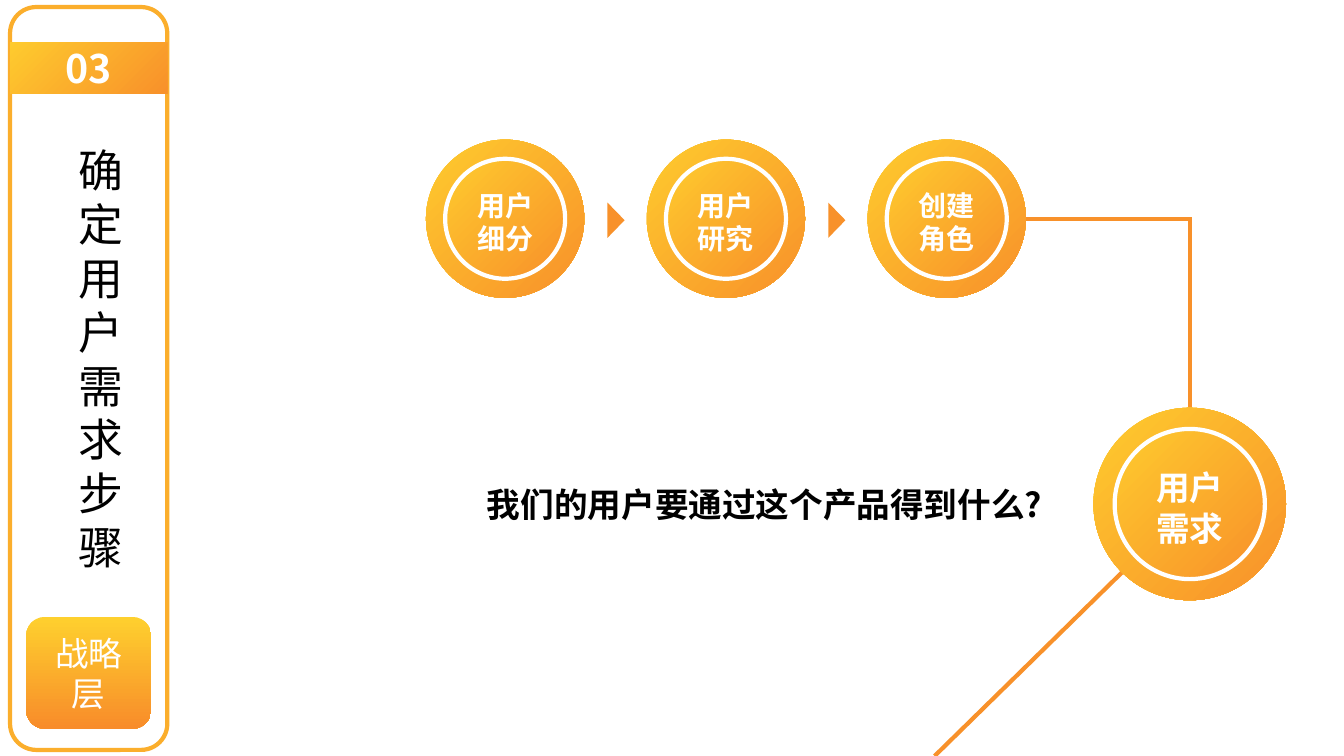
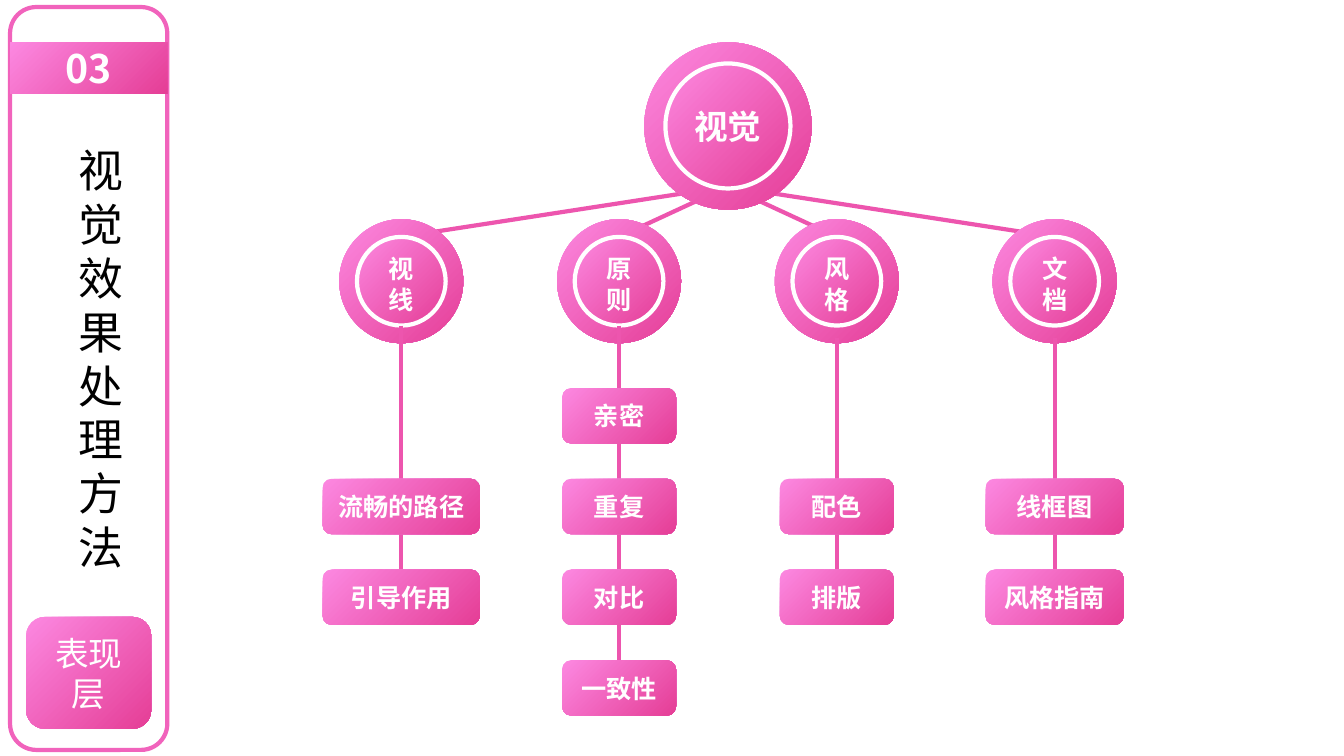
import pptx
import pptx.util
import pptx.dml.color
import pptx.enum.shapes
import pptx.enum.text
import pptx.oxml.ns
import lxml.etree

Inches, Pt = pptx.util.Inches, pptx.util.Pt
KIND = pptx.enum.shapes.MSO_SHAPE
ALIGN = pptx.enum.text.PP_ALIGN
ANCHOR = pptx.enum.text.MSO_ANCHOR
qn = pptx.oxml.ns.qn

# Content
PLAN = {
    "no": "03", "title": "确定用户需求步骤", "layer": "战略层",
    "steps": ["用户细分", "用户研究", "创建角色"],
    "goal": "用户需求", "ask": "我们的用户要通过这个产品得到什么?",
}
VISUAL = {
    "no": "03", "title": "视觉效果处理方法", "layer": "表现层", "root": "视觉",
    # topic, box width, first row, stem start, items
    "topics": [
        ("视线", 1.56, 1, 3.23, ["流畅的路径", "引导作用"]),
        ("原则", 1.13, 0, 3.23, ["亲密", "重复", "对比", "一致性"]),
        ("风格", 1.13, 1, 3.35, ["配色", "排版"]),
        ("文档", 1.37, 1, 3.35, ["线框图", "风格指南"]),
    ],
}

# Shared look
FACE = "Noto Sans CJK SC"
BASE = {"white": "FFFFFF", "black": "000000"}
GOLD = {"from": "FECB2E", "to": "F8912A", "rail": "FBAE2C", "line": "F8912A",
        "top": "FED02E", "foot": "F88C2A", "turn": 270}
PINK = {"from": "FC88E1", "to": "E53E96", "rail": "F163BC", "line": "ED55AE",
        "top": "FC88E1", "foot": "E53E96", "turn": 315}
WIDE = 3      # line width
LEAD = 1.2    # line pitch of stacked text, in ems
DROP = 0.22   # extra top inset that centres stacked text, in ems


def rgb(code):
    return pptx.dml.color.RGBColor.from_string(code)


def put(item, values):
    for name, value in values.items():
        setattr(item, name, value)


def write(shape, text, size, color=BASE["white"], bold=True, lead=False,
          align=ALIGN.CENTER, anchor=ANCHOR.MIDDLE, side=0.09, top=0):
    frame = shape.text_frame
    put(frame, {"word_wrap": True, "vertical_anchor": anchor,
                "auto_size": pptx.enum.text.MSO_AUTO_SIZE.NONE,
                "margin_left": Inches(side), "margin_right": Inches(side),
                "margin_top": Inches(top), "margin_bottom": 0})
    para = frame.paragraphs[0]
    put(para, {"alignment": align, "space_before": Pt(0)})
    if lead:
        para.line_spacing = Pt(size * LEAD)
    run = para.add_run()
    run.text = text
    put(run.font, {"size": Pt(size), "bold": bold, "name": FACE})
    run.font.color.rgb = rgb(color)
    east = lxml.etree.SubElement(run._r.get_or_add_rPr(), qn("a:ea"))
    east.set("typeface", FACE)


def shade(shape, start, end, turn=315):
    shape.fill.gradient()
    shape.fill.gradient_angle = turn
    for stop, code in zip(shape.fill.gradient_stops, (start, end)):
        stop.color.rgb = rgb(code)


def form(slide, kind, x, y, w, h, edge=None):
    shape = slide.shapes.add_shape(kind, Inches(x), Inches(y), Inches(w), Inches(h))
    shape.shadow.inherit = False
    if edge:
        shape.line.color.rgb = rgb(edge)
        shape.line.width = Pt(WIDE)
    else:
        shape.line.fill.background()
    return shape


def link(slide, hue, x1, y1, x2, y2):
    line = slide.shapes.add_connector(
        pptx.enum.shapes.MSO_CONNECTOR.STRAIGHT,
        Inches(x1), Inches(y1), Inches(x2), Inches(y2))
    line.line.color.rgb = rgb(hue["line"])
    line.line.width = Pt(WIDE)
    lxml.etree.SubElement(line._element.spPr, qn("a:effectLst"))


def disc(slide, hue, x, y, outer, inner, text, size, lead=True):
    """Gradient disc centred on x, y with a white ring and a label."""
    for wide, edge in ((outer, None), (inner, BASE["white"])):
        shape = form(slide, KIND.OVAL, x - wide / 2, y - wide / 2, wide, wide, edge)
        shade(shape, hue["from"], hue["to"])
    write(shape, text, size, lead=lead, top=DROP * size / 72 if lead else 0)


def rail(deck, data, hue):
    """New slide with the framed side rail: number, title and layer."""
    slide = deck.slides.add_slide(deck.slide_layouts[5])
    form(slide, KIND.ROUNDED_RECTANGLE, 0.1, 0.07, 1.56, 7.37,
         hue["rail"]).fill.background()
    band = form(slide, KIND.RECTANGLE, 0.1, 0.42, 1.56, 0.51)
    shade(band, hue["from"], hue["to"])
    write(band, data["no"], 28)
    badge = form(slide, KIND.ROUNDED_RECTANGLE, 0.26, 6.12, 1.24, 1.11)
    shade(badge, hue["top"], hue["foot"], hue["turn"])
    write(badge, data["layer"], 24, bold=False)
    title = slide.shapes.title
    put(title, {"left": Inches(0.68), "top": Inches(1.42),
                "width": Inches(0.64), "height": Inches(4.35)})
    write(title, data["title"], 32, BASE["black"], False, lead=True,
          anchor=ANCHOR.TOP, side=0)
    return slide


def plan(deck):
    slide, hue = rail(deck, PLAN, GOLD), GOLD
    left, gap, mid = 5.01, 2.19, 2.17
    goal = (11.8, 5.0)
    # Path from the last step to the goal and on
    link(slide, hue, 10.01, mid, goal[0] + 0.02, mid)
    link(slide, hue, goal[0], mid, goal[0], 4.25)
    link(slide, hue, 9.27, 7.5, 11.28, 5.53)
    # Steps with arrows between
    for i, text in enumerate(PLAN["steps"]):
        x = left + i * gap
        disc(slide, hue, x, mid, 1.57, 1.19, text, 20)
        if i:
            arrow = form(slide, KIND.ISOSCELES_TRIANGLE,
                         x - gap / 2 - 0.17, mid - 0.07, 0.35, 0.17)
            arrow.rotation = 90
            arrow.fill.solid()
            arrow.fill.fore_color.rgb = rgb(hue["line"])
    # Goal and question
    disc(slide, hue, *goal, 1.91, 1.49, PLAN["goal"], 24)
    ask = slide.shapes.add_textbox(Inches(4.74), Inches(4.72), Inches(5.9), Inches(0.56))
    write(ask, PLAN["ask"], 24, BASE["black"], align=ALIGN.LEFT)


def visual(deck):
    slide, hue = rail(deck, VISUAL, PINK), PINK
    root, left, gap, mid = 7.22, 3.98, 2.16, 2.79
    first, pitch, tall = 3.85, 0.9, 0.55
    spots = [left + i * gap for i in range(len(VISUAL["topics"]))]
    # Branches lie under the discs
    for x in spots:
        link(slide, hue, root, 1.85, x, 2.35)
    disc(slide, hue, root, 1.25, 1.66, 1.24, VISUAL["root"], 24, lead=False)
    # Topics, stems and item boxes
    for x, (topic, wide, row, start, items) in zip(spots, VISUAL["topics"]):
        disc(slide, hue, x, mid, 1.23, 0.88, topic, 18)
        tops = [first + (row + i) * pitch for i in range(len(items))]
        link(slide, hue, x, start, x, tops[-1] + tall / 2)
        for y, text in zip(tops, items):
            box = form(slide, KIND.ROUNDED_RECTANGLE, x - wide / 2, y, wide, tall)
            shade(box, hue["from"], hue["to"])
            write(box, text, 18)


def main():
    deck = pptx.Presentation()
    put(deck, {"slide_width": Inches(13.33), "slide_height": Inches(7.5)})
    plan(deck)
    visual(deck)
    deck.save("out.pptx")


if __name__ == "__main__":
    main()
